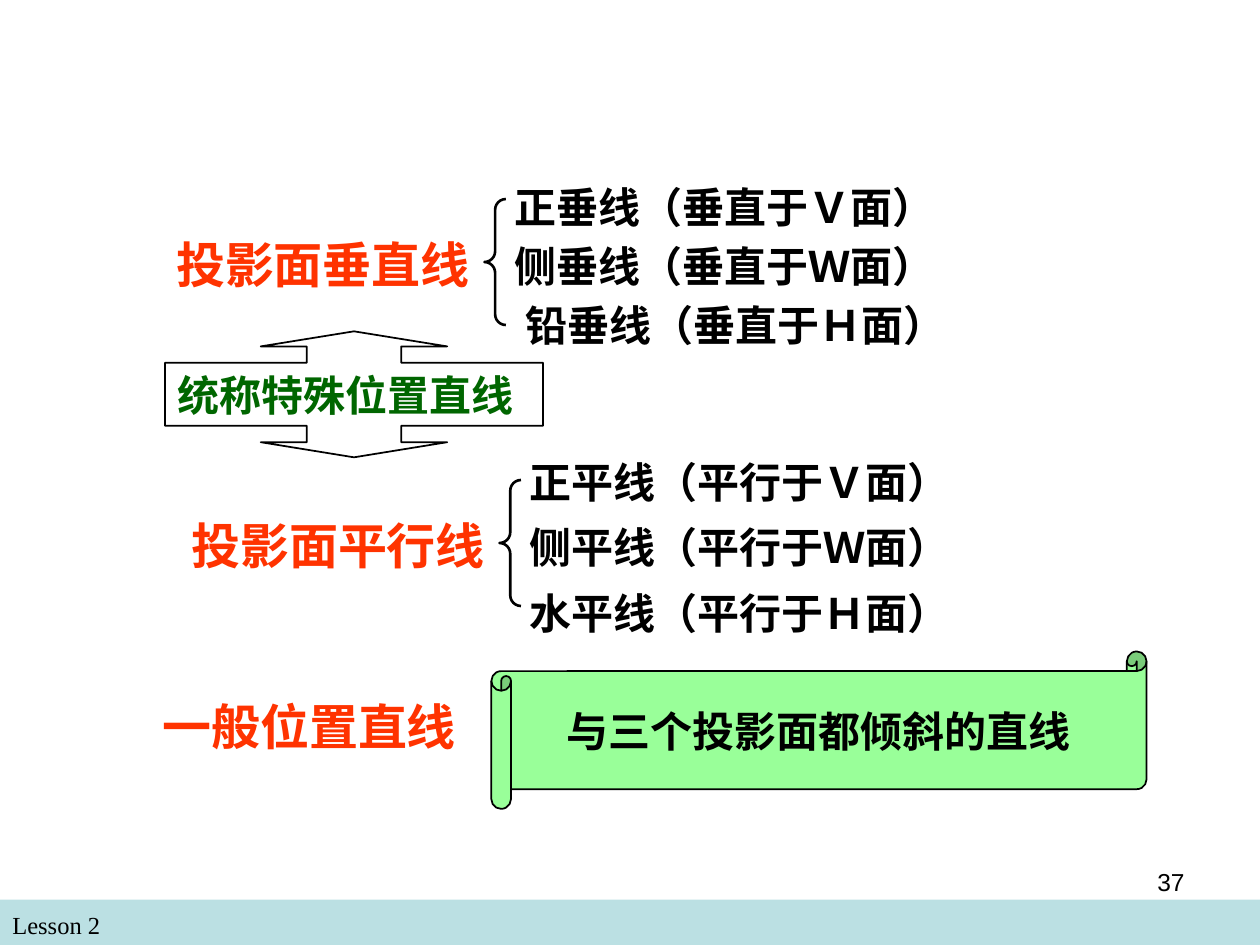
from pptx import Presentation
from pptx import util as u
from pptx.dml.color import RGBColor
from pptx.enum import shapes, text

COLORS = {"ink": "000000", "title": "FF3300", "note": "006600",
          "scroll": "99FF99", "bar": "BBE0E3", "paper": "FFFFFF"}
COLS, ROWS = 100, 75
SHAPE = shapes.MSO_SHAPE
prs = Presentation()
prs.slide_width, prs.slide_height = u.Inches(10), u.Inches(7.5)


def color(name):
    """Look up a palette colour."""
    return RGBColor.from_string(COLORS[name])


def place(box):
    """Turn a box in grid columns and rows into slide lengths."""
    x, y, w, h = box
    col, row = prs.slide_width / COLS, prs.slide_height / ROWS
    return [u.Emu(round(v)) for v in (x * col, y * row, w * col, h * row)]


def write(sp, words, size, ink="ink", bold=True, font="Times New Roman",
          align=text.PP_ALIGN.LEFT, anchor=text.MSO_ANCHOR.MIDDLE):
    """Write one line of text into a shape."""
    tf = sp.text_frame
    tf.word_wrap, tf.vertical_anchor = True, anchor
    p = tf.paragraphs[0]
    p.text, p.alignment = words, align
    p.font.name, p.font.size, p.font.bold = font, u.Pt(size), bold
    p.font.color.rgb = color(ink)


def label(parent, box, words, size, **style):
    """Add a text box."""
    write(parent.shapes.add_textbox(*place(box)), words, size, **style)


def shape(parent, kind, box, fill=None, line=None, adjust=()):
    """Add a flat preset shape with an optional fill and black outline."""
    sp = parent.shapes.add_shape(kind, *place(box))
    sp.shadow.inherit = False
    if fill:
        sp.fill.solid()
        sp.fill.fore_color.rgb = color(fill)
    else:
        sp.fill.background()
    if line:
        sp.line.color.rgb, sp.line.width = color("ink"), u.Pt(line)
    else:
        sp.line.fill.background()
    for i, value in enumerate(adjust):
        sp.adjustments[i] = value
    return sp


def branch(s, box, title, rows):
    """Draw a line family: title, brace and evenly spaced members."""
    x, y, w, h = box
    mid, row_h, list_x = y + h / 2, 5, 26.85
    label(s, (x, mid - 3, 27.3, 5.7), title, 28, ink="title")
    shape(s, SHAPE.LEFT_BRACE, (x + 25.45, mid - 5.3, 1.7, 10),
          line=1.5, adjust=(0.5, 0.5))
    step = (h - row_h) / (len(rows) - 1)
    for i, (words, indent) in enumerate(rows):
        label(s, (x + list_x + indent, y + i * step, w - list_x, row_h), words, 24)


def link(s, box, words):
    """Draw the two-way callout that joins the two families."""
    sp = shape(s, SHAPE.UP_DOWN_ARROW_CALLOUT, box, "paper", 1,
               (0.75, 0.74, 0.12, 0.5))
    write(sp, words, 24, ink="note")


def general(s, box, title, words):
    """Draw the general line title with its scroll."""
    x, y, w, h = box
    label(s, (x, y + 3.1, 31.5, 5.7), title, 28, ink="title")
    group = s.shapes.add_group_shape()
    shape(group, SHAPE.HORIZONTAL_SCROLL, (x + 27.1, y, w - 27.1, h),
          "scroll", 1, (0.125,))
    sp = shape(group, SHAPE.RECTANGLE, (x + 32.1, y + 3.8, 43, 5), "scroll")
    write(sp, words, 24)


def footer(s, box, lesson, number):
    """Draw the bottom bar, lesson name and page number."""
    x, y, w, h = box
    top = text.MSO_ANCHOR.TOP
    shape(s, SHAPE.RECTANGLE, box, "bar")
    label(s, (x, y + 0.3, 48.3, 3.4), lesson, 14, bold=False, anchor=top)
    label(s, (x + w - 28.3, y - 3.1, 23.3, 5.2), number, 14, bold=False,
          font="Arial", align=text.PP_ALIGN.RIGHT, anchor=top)


def main():
    """Build the slide and save it."""
    s = prs.slides.add_slide(prs.slide_layouts[6])
    footer(s, (0, 71.4, COLS, 3.6), "Lesson 2", "37")
    branch(s, (13, 13.9, 63, 14.4), "投影面垂直线",
           [("正垂线（垂直于Ｖ面）", 0), ("侧垂线（垂直于Ｗ面）", 0),
            ("铅垂线（垂直于Ｈ面）", 0.9)])
    branch(s, (14.2, 35.7, 63, 15.4), "投影面平行线",
           [("正平线（平行于Ｖ面）", 0), ("侧平线（平行于Ｗ面）", 0),
            ("水平线（平行于Ｈ面）", 0)])
    link(s, (13.1, 26.3, 30, 10), "统称特殊位置直线")
    general(s, (11.9, 51.7, 79.1, 12.5), "一般位置直线", "与三个投影面都倾斜的直线")
    prs.save("out.pptx")


if __name__ == "__main__":
    main()
